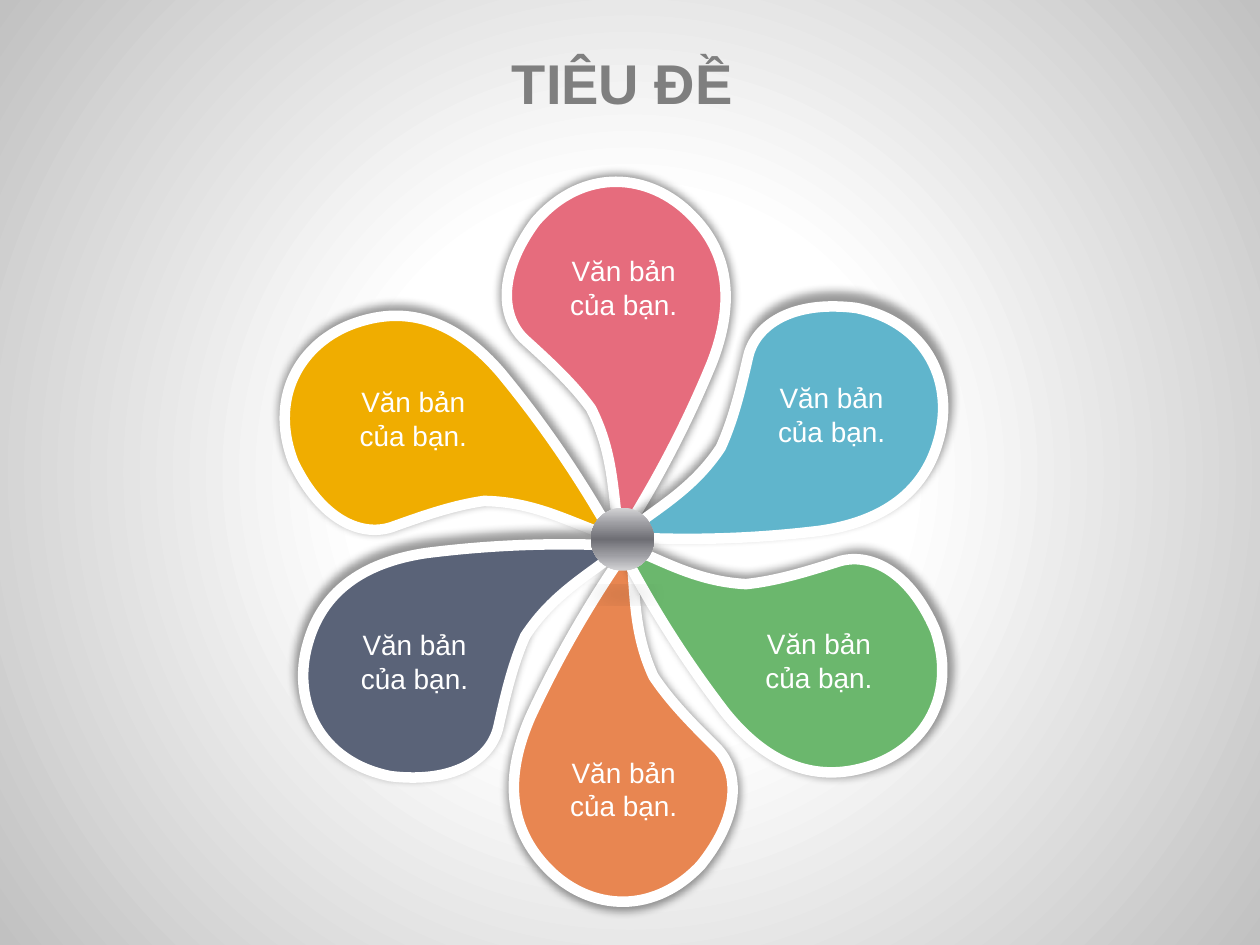
"""Build a slide with a six-petal flower diagram."""
import pptx
import pptx.util
import pptx.dml.color
import pptx.enum.shapes
import pptx.enum.text
import pptx.oxml
import pptx.oxml.ns
from pptx.util import Inches

NS = pptx.oxml.ns.nsdecls("a")


def paint(fmt, tone):
    fmt.solid()
    fmt.fore_color.rgb = pptx.dml.color.RGBColor.from_string(tone)


def shade(shape, alpha, blur, dist, turn, extra):
    shape.shadow.inherit = False
    glow = pptx.oxml.parse_xml(
        f'<a:outerShdw {NS} blurRad="{blur * 12700}" dist="{dist * 12700}" '
        f'dir="{turn * 60000}" {extra} rotWithShape="0"><a:srgbClr val="000000">'
        f'<a:alpha val="{alpha * 1000}"/></a:srgbClr></a:outerShdw>')
    shape.element.spPr.find(pptx.oxml.ns.qn("a:effectLst")).append(glow)


deck = pptx.Presentation()
deck.slide_width, deck.slide_height = Inches(10), Inches(7.5)
slide = deck.slides.add_slide(deck.slide_layouts[5])

slide.background.fill.gradient()
old = slide.element.xpath(".//p:bgPr/a:gradFill")[0]
old.getparent().replace(old, pptx.oxml.parse_xml(
    f'<a:gradFill {NS} rotWithShape="1"><a:gsLst>'
    '<a:gs pos="35000"><a:srgbClr val="FFFFFF"/></a:gs>'
    '<a:gs pos="100000"><a:srgbClr val="C1C1C1"/></a:gs></a:gsLst>'
    '<a:path path="circle"><a:fillToRect l="50000" t="50000" r="50000" b="50000"/>'
    '</a:path></a:gradFill>'))

WIDE, HIGH = 1740, 2840
TIP = (900, 2840)
CURVES = [
    [(840, 2500), (860, 2170), (670, 1800)],
    [(530, 1610), (360, 1450), (150, 1260)],
    [(-40, 1090), (-80, 740), (230, 320)],
    [(610, -120), (1140, -70), (1470, 270)],
    [(1760, 560), (1820, 950), (1630, 1440)],
    [(1420, 1950), (1180, 2400), TIP],
]
PARTS = [("moveTo", [TIP])] + [("cubicBezTo", curve) for curve in CURVES] + [("close", [])]
PETALS = [
    (4.02, 1.44, 0, False, "E66C7D", 4.26, 1.96),
    (4.10, 4.32, 2.5, True, "E88651", 4.26, 5.94),
    (5.28, 2.12, 240.7, True, "60B5CC", 5.91, 2.97),
    (5.28, 3.58, 300.2, True, "6BB76D", 5.81, 4.92),
    (2.73, 2.20, 298.1, False, "F0AD00", 2.59, 3.00),
    (2.87, 3.64, 240.4, False, "5A6378", 2.60, 4.93),
]

for left, top, turn, down, tone, _, _ in PETALS:
    pen = slide.shapes.build_freeform(0, 0, scale=Inches(1) / 1000)
    pen.add_line_segments([(WIDE, 0), (WIDE, HIGH), (0, HIGH)])
    petal = pen.convert_to_shape(Inches(left), Inches(top))
    trace = petal.element.xpath(".//a:pathLst/a:path")[0]
    for step in list(trace):
        trace.remove(step)
    for tag, dots in PARTS:
        if down:
            dots = [(WIDE - x, HIGH - y) for x, y in dots]
        marks = "".join(f'<a:pt x="{x}" y="{y}"/>' for x, y in dots)
        trace.append(pptx.oxml.parse_xml(f"<a:{tag} {NS}>{marks}</a:{tag}>"))
    petal.rotation = turn
    paint(petal.fill, tone)
    paint(petal.line.fill, "FFFFFF")
    petal.line.width = pptx.util.Pt(6)
    shade(petal, 40, 5, 0, 0, 'sx="102000" sy="102000" algn="ctr"')

hub = slide.shapes.add_shape(pptx.enum.shapes.MSO_SHAPE.OVAL,
                             Inches(4.69), Inches(4.03), Inches(0.5), Inches(0.5))
hub.line.fill.background()
hub.fill.gradient()
old = hub.element.spPr.find(pptx.oxml.ns.qn("a:gradFill"))
tones = ["D4D4D6", "9D9DA2", "6E6E74", "9D9DA2", "D4D4D6"]
stops = "".join(f'<a:gs pos="{i * 25000}"><a:srgbClr val="{tone}"/></a:gs>'
                for i, tone in enumerate(tones))
hub.element.spPr.replace(old, pptx.oxml.parse_xml(
    f'<a:gradFill {NS} rotWithShape="1"><a:gsLst>{stops}</a:gsLst>'
    '<a:lin ang="5400000" scaled="0"/></a:gradFill>'))
shade(hub, 15, 12, 10, 90, 'sx="90000" sy="-19000"')

title = slide.shapes.title
title.left, title.top = Inches(0.82), Inches(0.33)
title.width, title.height = Inches(8.24), Inches(0.64)
texts = [(title, "TIÊU ĐỀ", 32, "7F7F7F", True, False)]
for *_, left, top in PETALS:
    label = slide.shapes.add_textbox(Inches(left), Inches(top), Inches(1.38), Inches(0.64))
    texts.append((label, "Văn bản của bạn.", 16, "FFFFFF", False, True))

for box, words, size, tone, bold, wrap in texts:
    frame = box.text_frame
    frame.text = words
    frame.word_wrap = wrap
    frame.auto_size = pptx.enum.text.MSO_AUTO_SIZE.SHAPE_TO_FIT_TEXT
    frame.vertical_anchor = pptx.enum.text.MSO_ANCHOR.MIDDLE
    line = frame.paragraphs[0]
    line.alignment = pptx.enum.text.PP_ALIGN.CENTER
    font = line.runs[0].font
    font.name, font.size, font.bold = "Arial", pptx.util.Pt(size), bold
    paint(font.fill, tone)

deck.save("out.pptx")
